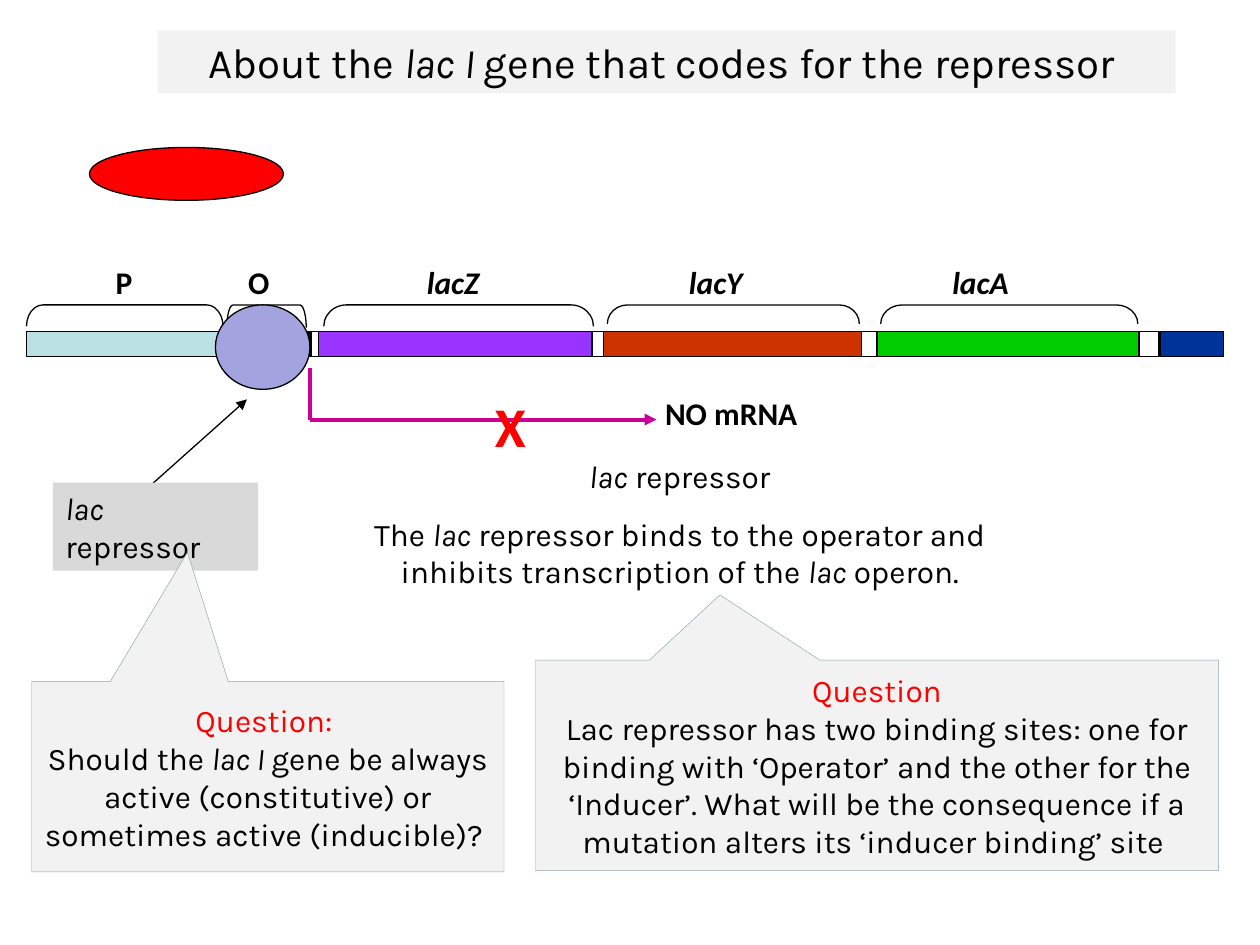
from lxml import etree
from pptx import Presentation
from pptx.dml.color import RGBColor
from pptx.enum.shapes import MSO_CONNECTOR, MSO_SHAPE
from pptx.enum.text import MSO_ANCHOR, MSO_AUTO_SIZE, PP_ALIGN
from pptx.oxml.ns import qn
from pptx.util import Inches, Pt

RECT, OVAL = MSO_SHAPE.RECTANGLE, MSO_SHAPE.OVAL
BRACKET, CALLOUT = MSO_SHAPE.LEFT_BRACKET, MSO_SHAPE.RECTANGULAR_CALLOUT
STRAIGHT = MSO_CONNECTOR.STRAIGHT
LEFT, CENTER = PP_ALIGN.LEFT, PP_ALIGN.CENTER
TOP, MIDDLE = MSO_ANCHOR.TOP, MSO_ANCHOR.MIDDLE
NO_AUTOFIT = MSO_AUTO_SIZE.NONE

TITLE_ONLY = 5
BLACK, RED, PALE, GREY = "000000", "FF0000", "F2F2F2", "D9D9D9"
MAGENTA, CALLOUT_EDGE = "CC0099", "89A4A7"


def color(hex_string):
    return RGBColor.from_string(hex_string)


class OperonSlide:
    body_font, label_font = "Karla", "Calibri"
    text_size, title_size = 18, 24

    def __init__(self, prs):
        self.slide = prs.slides.add_slide(prs.slide_layouts[TITLE_ONLY])
        self.shapes = self.slide.shapes

    def fill_text(self, shape, paragraphs, size=text_size, font=body_font,
                  bold=False, align=LEFT, anchor=TOP, gap=0):
        """Fill a shape with paragraphs of (text, italic, hex colour) runs."""
        frame = shape.text_frame
        frame.word_wrap = True
        frame.auto_size = NO_AUTOFIT
        frame.vertical_anchor = anchor
        for index, runs in enumerate(paragraphs):
            paragraph = frame.add_paragraph() if index else frame.paragraphs[0]
            paragraph.alignment = align
            paragraph.space_before = Pt(gap if index else 0)
            for text, slanted, run_color in runs:
                run = paragraph.add_run()
                run.text = text
                run.font.name, run.font.size = font, Pt(size)
                run.font.bold, run.font.italic = bold, slanted
                run.font.color.rgb = color(run_color)

    def title(self, box, runs):
        title = self.shapes.title
        title.left, title.top, title.width, title.height = map(Inches, box)
        title.fill.solid()
        title.fill.fore_color.rgb = color(PALE)
        self.fill_text(title, [runs], size=self.title_size, align=CENTER)

    def shape(self, kind, box, fill=None, line=BLACK, weight=0.75):
        shape = self.shapes.add_shape(kind, *map(Inches, box))
        shape.shadow.inherit = False
        if fill:
            shape.fill.solid()
            shape.fill.fore_color.rgb = color(fill)
        else:
            shape.fill.background()
        if line:
            shape.line.color.rgb = color(line)
            shape.line.width = Pt(weight)
        else:
            shape.line.fill.background()
        return shape

    def brace(self, left, top, width, height, corner):
        """Bracket opening downwards, made from a left bracket turned by 90 degrees."""
        box = (left + (width - height) / 2, top + (height - width) / 2, height, width)
        bracket = self.shape(BRACKET, box)
        bracket.rotation = 90
        bracket.adjustments[0] = corner / height

    def text(self, box, paragraphs, **style):
        self.fill_text(self.shapes.add_textbox(*map(Inches, box)), paragraphs, **style)

    def label(self, box, text, slanted=False, size=text_size, text_color=BLACK):
        self.text(box, [[(text, slanted, text_color)]], size=size,
                  font=self.label_font, bold=True)

    def line(self, start, end, line_color=BLACK, weight=0.75, arrow=True):
        line = self.shapes.add_connector(STRAIGHT, *map(Inches, start + end))
        line.line.color.rgb = color(line_color)
        line.line.width = Pt(weight)
        properties = line._element.spPr
        if arrow:
            etree.SubElement(properties.find(qn("a:ln")), qn("a:tailEnd"), type="triangle")
        etree.SubElement(properties, qn("a:effectLst"))

    def callout(self, box, tip, paragraphs):
        callout = self.shape(CALLOUT, box, PALE, CALLOUT_EDGE, 0.25)
        callout.adjustments[0], callout.adjustments[1] = tip
        self.fill_text(callout, paragraphs, align=CENTER, anchor=MIDDLE)


def plain(text, text_color=BLACK):
    return text, False, text_color


def italic(text):
    return text, True, BLACK


def main():
    prs = Presentation()
    prs.slide_width, prs.slide_height = Inches(10), Inches(7.5)
    operon = OperonSlide(prs)

    operon.title((1.25, 0.24, 8.08, 0.5), [
        plain("About the "), italic("lac I "),
        plain("gene that codes for the repressor ")])

    # DNA strand: left, width, fill
    dna_top, dna_height = 2.63, 0.2
    segments = [
        (0.21, 2.26, "BBE0E3"), (2.46, 6.74, None), (9.21, 0.5, "003399"),
        (1.79, 0.67, BLACK), (2.53, 2.17, "9933FF"), (4.79, 2.05, "CC3300"),
        (6.96, 2.08, "00CC00"),
    ]
    for left, width, fill in segments:
        operon.shape(RECT, (left, dna_top, width, dna_height), fill)

    # Regions: name, italic, label left, label width, brace left, width, height, corner
    regions = [
        ("P", False, 0.82, 0.58, 0.21, 1.56, 0.17, 0.13),
        ("O", False, 1.87, 0.58, 1.8, 0.63, 0.18, 0.05),
        ("lacZ", True, 3.29, 1, 2.57, 2.14, 0.17, 0.18),
        ("lacY", True, 5.37, 1, 4.82, 2, 0.15, 0.16),
        ("lacA", True, 7.46, 1, 6.99, 2.04, 0.15, 0.17),
    ]
    for name, slanted, left, width, brace_left, brace_width, height, corner in regions:
        operon.brace(brace_left, 2.42, brace_width, height, corner)
        operon.label((left, 2.04, width, 0.4), name, slanted)

    operon.shape(OVAL, (0.71, 1.17, 1.54, 0.42), RED)
    operon.shape(OVAL, (1.71, 2.42, 0.75, 0.67), "A3A3E0")

    operon.line((1.12, 3.92), (1.96, 3.17))
    repressor = [italic("lac"), plain(" repressor")]
    repressor_tag = operon.shape(RECT, (0.42, 3.83, 1.63, 0.7), GREY, line=None)
    operon.fill_text(repressor_tag, [repressor])

    # Blocked transcription
    operon.line((2.46, 2.92), (2.46, 3.33), MAGENTA, 2.25, arrow=False)
    operon.line((2.46, 3.33), (5.21, 3.33), MAGENTA, 2.25)
    operon.label((3.83, 3.06, 0.5, 0.64), "X", size=32, text_color=RED)
    operon.label((5.18, 3.08, 1.83, 0.4), "NO mRNA")

    operon.text((2.5, 3.58, 5.79, 1.16), [
        repressor,
        [plain("The "), italic("lac"),
         plain(" repressor binds to the operator and inhibits transcription of the "),
         italic("lac"), plain(" operon.")],
    ], align=CENTER, gap=11.2)

    operon.callout((0.25, 5.41, 3.75, 1.51), (-0.17, -1.18), [
        [plain("Question: ", RED)],
        [plain("Should the "), italic("lac I "),
         plain("gene be always active (constitutive) or sometimes active (inducible)? ")],
    ])
    operon.callout((4.25, 5.24, 5.42, 1.67), (-0.23, -0.81), [
        [plain("Question", RED)],
        [plain("Lac repressor has two binding sites: one for binding with ‘Operator’ "
               "and the other for the ‘Inducer’. What will be the consequence if a "
               "mutation alters its ‘inducer binding’ site ")],
    ])

    prs.save("out.pptx")


if __name__ == "__main__":
    main()
